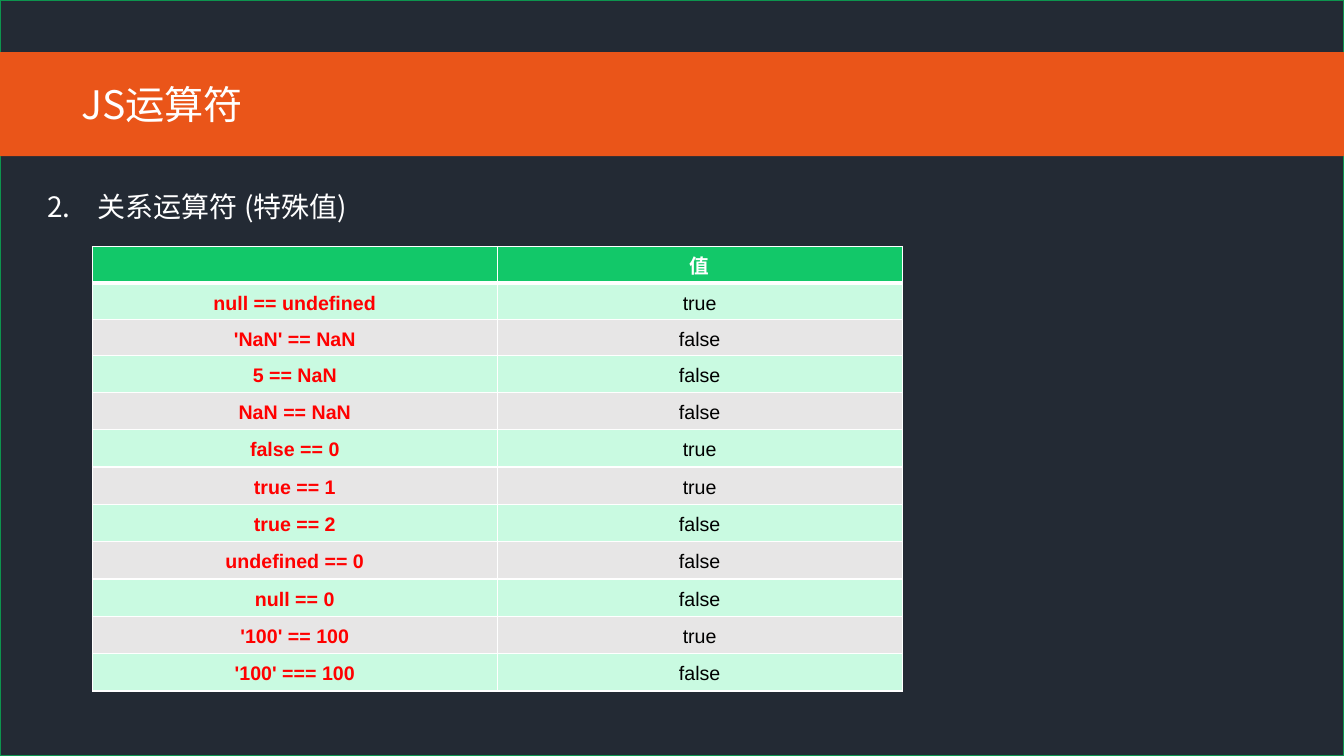
from lxml.etree import SubElement
from pptx import Presentation
from pptx.dml.color import RGBColor
from pptx.enum.shapes import MSO_SHAPE
from pptx.enum.text import MSO_AUTO_SIZE, PP_ALIGN
from pptx.oxml.ns import qn
from pptx.util import Pt

WHITE = RGBColor(0xFF, 0xFF, 0xFF)
BLACK = RGBColor(0x00, 0x00, 0x00)
RED = RGBColor(0xFF, 0x00, 0x00)
NAVY = RGBColor(0x23, 0x2A, 0x34)
ORANGE = RGBColor(0xEA, 0x55, 0x19)
DARK_GREEN = RGBColor(0x0D, 0x94, 0x4E)
GREEN = RGBColor(0x12, 0xC8, 0x69)
MINT = RGBColor(0xC9, 0xFA, 0xE1)
GREY = RGBColor(0xE7, 0xE6, 0xE6)

HEADING_FONT = "Noto Sans CJK SC"
TABLE_FONT = "Arial"
SLIDE_WIDTH, SLIDE_HEIGHT = 960, 540

COMPARISONS = [
    ("null == undefined", "true"),
    ("'NaN' == NaN", "false"),
    ("5 == NaN", "false"),
    ("NaN == NaN", "false"),
    ("false == 0", "true"),
    ("true == 1", "true"),
    ("true == 2", "false"),
    ("undefined == 0", "false"),
    ("null == 0", "false"),
    ("'100' == 100", "true"),
    ("'100' === 100", "false"),
]


def add_band(slide, top, height, color, outline=None):
    """Full-width rectangle."""
    band = slide.shapes.add_shape(
        MSO_SHAPE.RECTANGLE, 0, Pt(top), Pt(SLIDE_WIDTH), Pt(height))
    band.shadow.inherit = False
    band.fill.solid()
    band.fill.fore_color.rgb = color
    if outline is None:
        band.line.fill.background()
    else:
        band.line.color.rgb = outline
        band.line.width = Pt(1)


def style_paragraph(paragraph, font_name, size, color, bold=False):
    font = paragraph.font
    font.name, font.size, font.bold = font_name, Pt(size), bold
    font.color.rgb = color
    east_asian = SubElement(paragraph._p.pPr.find(qn("a:defRPr")), qn("a:ea"))
    east_asian.set("typeface", font_name)


def add_heading(slide, text, left, top, width, height, size):
    box = slide.shapes.add_textbox(Pt(left), Pt(top), Pt(width), Pt(height))
    frame = box.text_frame
    frame.word_wrap = True
    frame.auto_size = MSO_AUTO_SIZE.SHAPE_TO_FIT_TEXT
    heading = frame.paragraphs[0]
    heading.text = text
    style_paragraph(heading, HEADING_FONT, size, WHITE)
    return heading


def number_paragraph(paragraph, start, indent):
    """Automatic number with a hanging indent."""
    properties = paragraph._p.get_or_add_pPr()
    properties.set("marL", str(Pt(indent)))
    properties.set("indent", str(-Pt(indent)))
    number = properties.makeelement(
        qn("a:buAutoNum"), {"type": "arabicPeriod", "startAt": str(start)})
    properties.find(qn("a:defRPr")).addprevious(number)


def set_borders(cell, top, bottom):
    cell_properties = cell._tc.get_or_add_tcPr()
    for side, width in (("L", 1), ("R", 1), ("T", top), ("B", bottom)):
        border = SubElement(cell_properties, qn(f"a:ln{side}"), w=str(Pt(width)))
        solid = SubElement(border, qn("a:solidFill"))
        SubElement(solid, qn("a:srgbClr"), val=str(WHITE))


def fill_cell(cell, text, color, bold, background, top, bottom):
    set_borders(cell, top, bottom)
    cell.fill.solid()
    cell.fill.fore_color.rgb = background
    cell.margin_left = cell.margin_right = Pt(5.4)
    cell.margin_top, cell.margin_bottom = Pt(4.3), 0
    paragraph = cell.text_frame.paragraphs[0]
    if text:
        paragraph.text = text
    paragraph.alignment = PP_ALIGN.CENTER
    paragraph.line_spacing = 1.15
    style_paragraph(paragraph, TABLE_FONT, 14, color, bold)


def add_comparison_table(slide, left, top, width):
    row_heights = [26] * 4 + [26.7] * 8
    table = slide.shapes.add_table(
        len(row_heights), 2, Pt(left), Pt(top), Pt(width),
        Pt(sum(row_heights))).table
    for row, height in zip(table.rows, row_heights):
        row.height = Pt(height)

    # Header, with a thick rule below
    for column, label in enumerate(("", "值")):
        fill_cell(table.cell(0, column), label, WHITE, True, GREEN, 1, 3)

    # Comparisons in alternating bands
    for row, (expression, result) in enumerate(COMPARISONS, start=1):
        background = MINT if row % 2 else GREY
        top_rule = 3 if row == 1 else 1
        fill_cell(table.cell(row, 0), expression, RED, True,
                  background, top_rule, 1)
        fill_cell(table.cell(row, 1), result, BLACK, False,
                  background, top_rule, 1)


def main():
    presentation = Presentation()
    presentation.slide_width = Pt(SLIDE_WIDTH)
    presentation.slide_height = Pt(SLIDE_HEIGHT)
    slide = presentation.slides.add_slide(presentation.slide_layouts[6])

    # Backdrop and title band
    add_band(slide, 0, SLIDE_HEIGHT, NAVY, DARK_GREEN)
    add_band(slide, 37.2, 74.4, ORANGE)

    # Title and numbered section heading
    add_heading(slide, "JS运算符", 51, 54, 761, 41, 28)
    section = add_heading(slide, "关系运算符 (特殊值)", 26.6, 119.5, 657, 44, 20)
    section.line_spacing = 1.5
    number_paragraph(section, start=2, indent=36)

    add_comparison_table(slide, 66, 176.2, 578.4)
    presentation.save("out.pptx")


main()
